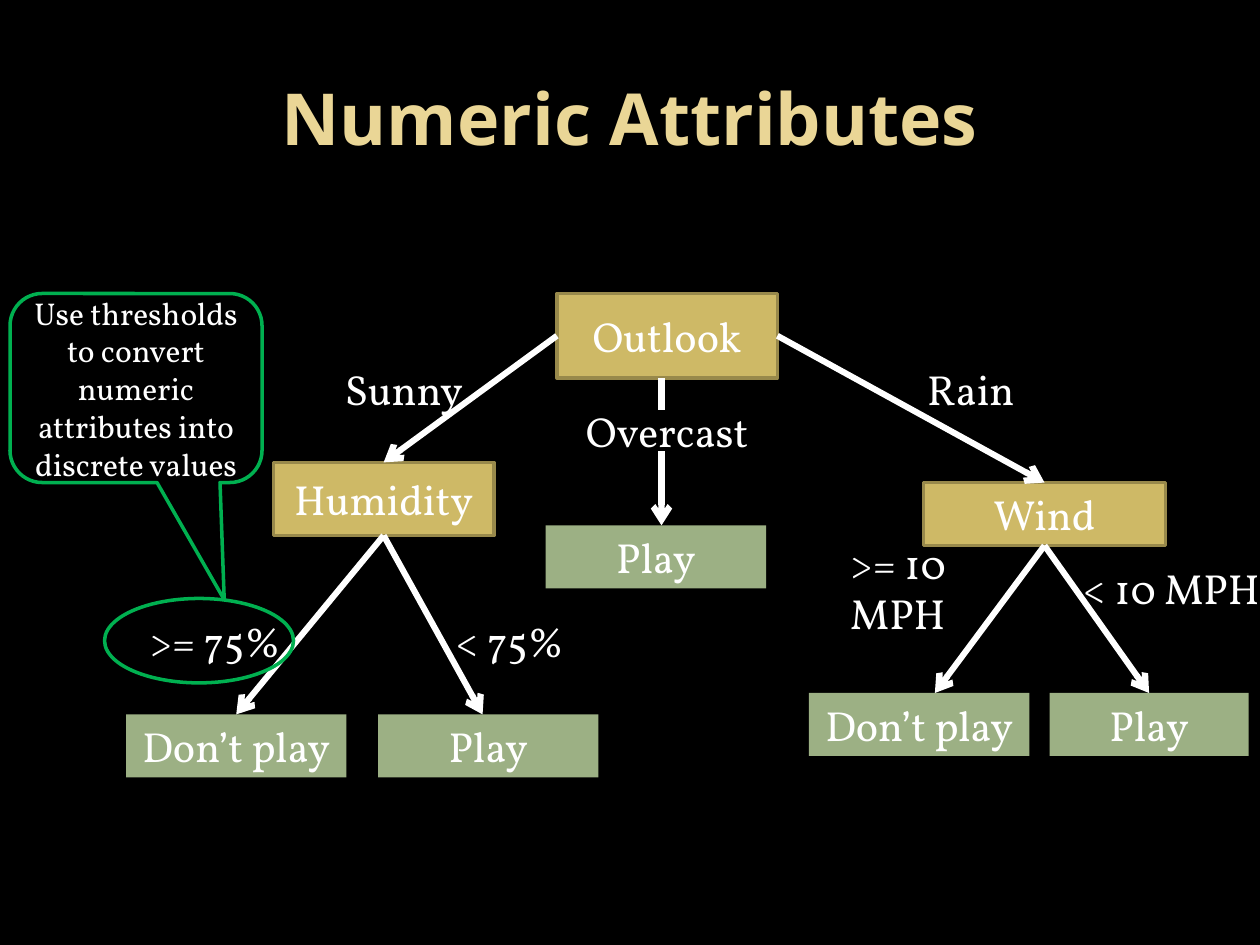
from dataclasses import dataclass

from lxml import etree
from pptx import Presentation
from pptx.dml.color import RGBColor
from pptx.enum.shapes import MSO_CONNECTOR, MSO_SHAPE
from pptx.enum.text import MSO_ANCHOR, PP_ALIGN
from pptx.oxml.ns import qn
from pptx.util import Inches, Pt

RECTANGLE = MSO_SHAPE.RECTANGLE
ELLIPSE = MSO_SHAPE.OVAL
CALLOUT = MSO_SHAPE.ROUNDED_RECTANGULAR_CALLOUT
STRAIGHT = MSO_CONNECTOR.STRAIGHT
CENTER = PP_ALIGN.CENTER
MIDDLE = MSO_ANCHOR.MIDDLE
TOP, LEFT, BOTTOM, RIGHT = range(4)


@dataclass(frozen=True)
class Theme:
    background: RGBColor = RGBColor.from_string("000000")
    text: RGBColor = RGBColor.from_string("FFFFFF")
    title_start: RGBColor = RGBColor.from_string("EAD696")
    title_end: RGBColor = RGBColor.from_string("E7D081")
    node: RGBColor = RGBColor.from_string("CEB966")
    node_edge: RGBColor = RGBColor.from_string("98894B")
    leaf: RGBColor = RGBColor.from_string("9CB084")
    note: RGBColor = RGBColor.from_string("00B050")
    title_font: str = "Noto Sans"
    body_font: str = "Vollkorn"
    title_size: Pt = Pt(41)
    body_size: Pt = Pt(24)
    note_size: Pt = Pt(18)
    edge_width: Pt = Pt(2)
    branch_width: Pt = Pt(3.5)


theme = Theme()


def write_text(shape, text, size=theme.body_size):
    frame = shape.text_frame
    frame.word_wrap = True
    frame.vertical_anchor = MIDDLE
    paragraph = frame.paragraphs[0]
    paragraph.text = text
    paragraph.alignment = CENTER
    paragraph.font.name = theme.body_font
    paragraph.font.size = size
    paragraph.font.color.rgb = theme.text


def add_shape(kind, box, fill=None, edge=None):
    shape = slide.shapes.add_shape(kind, *map(Inches, box))
    shape.shadow.inherit = False
    if fill is None:
        shape.fill.background()
    else:
        shape.fill.solid()
        shape.fill.fore_color.rgb = fill
    if edge is None:
        shape.line.fill.background()
    else:
        shape.line.color.rgb = edge
        shape.line.width = theme.edge_width
    return shape


presentation = Presentation()
presentation.slide_width = Inches(10)
presentation.slide_height = Inches(7.5)
slide = presentation.slides.add_slide(presentation.slide_layouts[5])
slide.background.fill.solid()
slide.background.fill.fore_color.rgb = theme.background

# Title
title = slide.shapes.title
title.left, title.top, title.width, title.height = map(Inches, (0.5, 0.3, 9, 1.25))
title.text_frame.vertical_anchor = MIDDLE
paragraph = title.text_frame.paragraphs[0]
paragraph.text = "Numeric Attributes"
paragraph.alignment = CENTER
paragraph.font.name = theme.title_font
paragraph.font.size = theme.title_size
paragraph.font.bold = True
paragraph.font.fill.gradient()
paragraph.font.fill.gradient_angle = 280
stops = paragraph.font.fill.gradient_stops
for stop, position, color in zip(stops, (0.73, 1), (theme.title_start, theme.title_end)):
    stop.position = position
    stop.color.rgb = color

# Decision nodes and leaves
boxes = {}
for name, text, box, fill, edge in (
    ("outlook", "Outlook", (4.42, 2.33, 1.75, 0.67), theme.node, theme.node_edge),
    ("humidity", "Humidity", (2.17, 3.67, 1.75, 0.58), theme.node, theme.node_edge),
    ("wind", "Wind", (7.33, 3.83, 1.92, 0.5), theme.node, theme.node_edge),
    ("humid", "Don’t play", (1, 5.67, 1.75, 0.5), theme.leaf, None),
    ("dry", "Play", (3, 5.67, 1.75, 0.5), theme.leaf, None),
    ("overcast", "Play", (4.33, 4.17, 1.75, 0.5), theme.leaf, None),
    ("windy", "Don’t play", (6.42, 5.5, 1.75, 0.5), theme.leaf, None),
    ("calm", "Play", (8.33, 5.5, 1.58, 0.5), theme.leaf, None),
):
    boxes[name] = add_shape(RECTANGLE, box, fill, edge)
    write_text(boxes[name], text)

# Branches: start, end, joined start (box, side), box joined at its top, arrowhead
for start, end, origin, target, has_arrow in (
    ((4.42, 2.67), (3.04, 3.67), ("outlook", LEFT), "humidity", True),
    ((6.17, 2.67), (8.29, 3.83), ("outlook", RIGHT), "wind", True),
    ((3.04, 4.25), (1.88, 5.67), ("humidity", BOTTOM), "humid", True),
    ((3.04, 4.25), (3.83, 5.67), ("humidity", BOTTOM), None, True),
    ((8.29, 4.33), (7.42, 5.5), ("wind", BOTTOM), None, True),
    ((8.29, 4.33), (9.12, 5.5), ("wind", BOTTOM), "calm", True),
    ((5.25, 3), (5.25, 3.25), None, None, False),
    ((5.25, 3.58), (5.25, 4.17), None, None, True),
):
    branch = slide.shapes.add_connector(STRAIGHT, *map(Inches, start + end))
    if origin:
        branch.begin_connect(boxes[origin[0]], origin[1])
    if target:
        branch.end_connect(boxes[target], TOP)
    branch.line.color.rgb = theme.text
    branch.line.width = theme.branch_width
    if has_arrow:
        etree.SubElement(branch.line._get_or_add_ln(), qn("a:tailEnd"), type="arrow")
    etree.SubElement(branch._element.spPr, qn("a:effectLst"))

# Branch labels
for text, left, top, width in (
    ("Sunny", 2.58, 2.75, 1.25),
    ("Rain", 6.83, 2.75, 1.75),
    ("Overcast", 4.42, 3.08, 1.75),
    (">= 75%", 0.83, 4.75, 1.75),
    ("< 75%", 3.17, 4.75, 1.75),
    ("< 10 MPH", 8.42, 4.33, 1.75),
    (">= 10 MPH", 6.25, 4.33, 1.75),
):
    label = slide.shapes.add_textbox(*map(Inches, (left, top, width, 0.67)))
    write_text(label, text)

# Threshold note
add_shape(ELLIPSE, (0.83, 4.75, 1.5, 0.67), edge=theme.note)
note = add_shape(CALLOUT, (0.08, 2.33, 2, 1.5), edge=theme.note)
for index, value in enumerate((0.35, 1.12, 0.17)):
    note.adjustments[index] = value
write_text(
    note,
    "Use thresholds to convert numeric attributes into discrete values",
    theme.note_size,
)

presentation.save("out.pptx")
